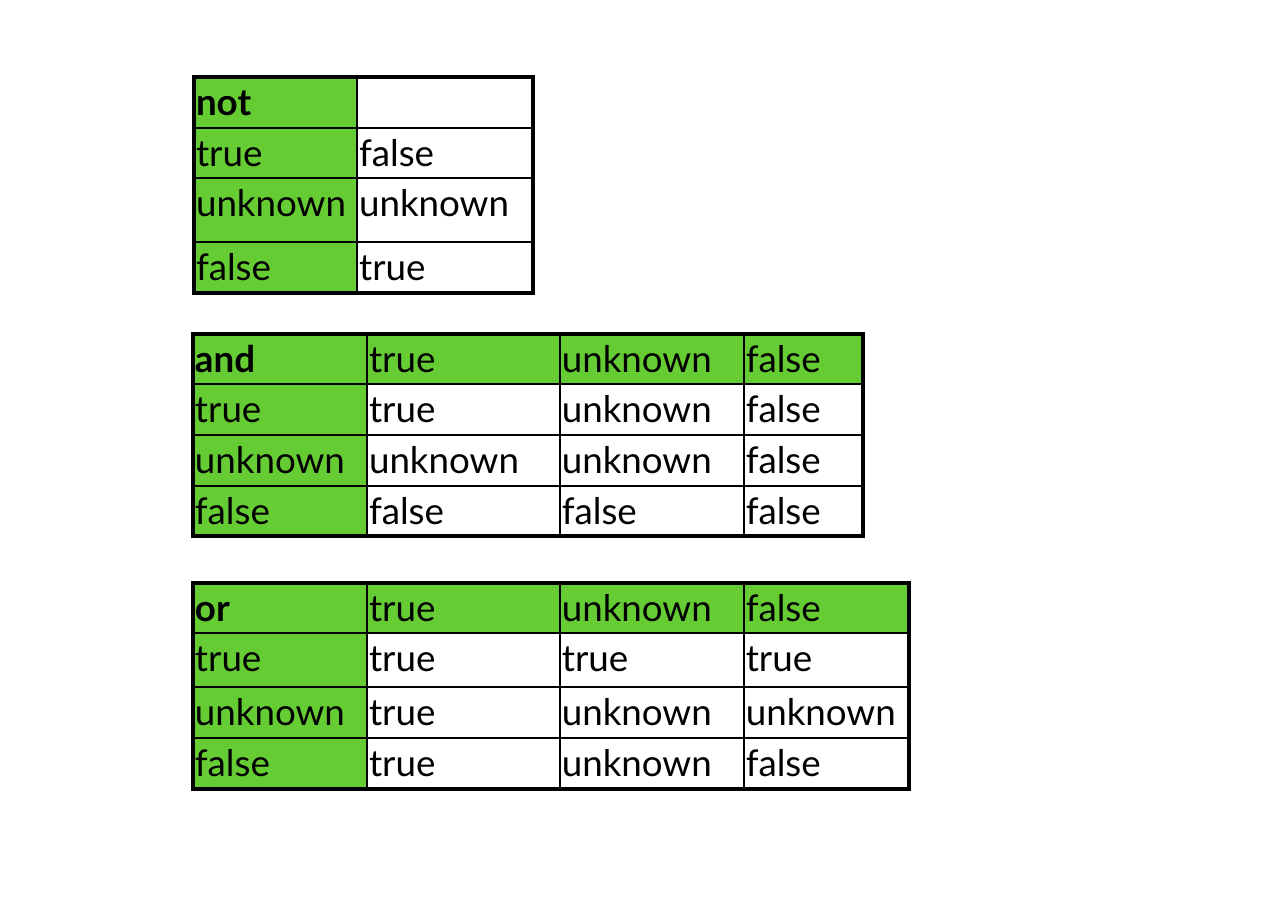
from dataclasses import dataclass

from lxml.etree import SubElement as Sub
from pptx import Presentation as Deck
from pptx.dml.color import RGBColor as Color
from pptx.oxml.ns import qn
from pptx.slide import Slide
from pptx.table import _Cell as Cell
from pptx.util import Inches, Pt

COLORS = {"head": "66CC33", "ink": "000000"}
THIN, THICK = Pt(1.5), Pt(3)
INSETS = {
    "margin_left": Inches(0.02),
    "margin_top": Inches(0.02),
    "margin_right": 0,
    "margin_bottom": 0,
}
FONT = {"name": "Lato", "size": Pt(24)}
PLAIN = {"first_row": False, "horz_banding": False}


@dataclass
class Truth:
    left: float
    top: float
    cols: list[float]
    rows: list[float]
    words: list[list[str]]


TABLES = [
    Truth(1.76, 0.7, [1.48, 1.6], [0.46, 0.46, 0.58, 0.46], [
        ["not", ""],
        ["true", "false"],
        ["unknown", "unknown"],
        ["false", "true"],
    ]),
    Truth(1.75, 3.03, [1.58, 1.75, 1.67, 1.08], [0.46] * 4, [
        ["and", "true", "unknown", "false"],
        ["true", "true", "unknown", "false"],
        ["unknown", "unknown", "unknown", "false"],
        ["false", "false", "false", "false"],
    ]),
    Truth(1.75, 5.29, [1.58, 1.75, 1.67, 1.5], [0.46, 0.49, 0.46, 0.46], [
        ["or", "true", "unknown", "false"],
        ["true", "true", "true", "true"],
        ["unknown", "true", "unknown", "unknown"],
        ["false", "true", "unknown", "false"],
    ]),
]


def apply(target: object, values: dict) -> None:
    for name, value in values.items():
        setattr(target, name, value)


def set_edges(cell: Cell, outer: dict[str, bool]) -> None:
    """Draw thick lines on the outer sides of the table, thin ones inside."""
    props = cell._tc.get_or_add_tcPr()
    for side, thick in outer.items():
        width = THICK if thick else THIN
        line = Sub(props, qn(f"a:ln{side}"), w=str(int(width)))
        fill = Sub(line, qn("a:solidFill"))
        Sub(fill, qn("a:srgbClr"), val=COLORS["ink"])


def set_text(cell: Cell, text: str, bold: bool) -> None:
    apply(cell, INSETS)
    if not text:
        return
    run = cell.text_frame.paragraphs[0].add_run()
    run.text = text
    apply(run.font, FONT | {"bold": bold})
    run.font.color.rgb = Color.from_string(COLORS["ink"])


def set_fill(cell: Cell, head: bool) -> None:
    if head:
        cell.fill.solid()
        cell.fill.fore_color.rgb = Color.from_string(COLORS["head"])
    else:
        cell.fill.background()


def draw_table(slide: Slide, truth: Truth) -> None:
    high, wide = len(truth.rows), len(truth.cols)
    box = [truth.left, truth.top, sum(truth.cols), sum(truth.rows)]
    frame = slide.shapes.add_table(high, wide, *map(Inches, box))
    table = frame.table
    apply(table, PLAIN)
    for col, width in zip(table.columns, truth.cols):
        col.width = Inches(width)
    for row, height in zip(table.rows, truth.rows):
        row.height = Inches(height)
    for r, line in enumerate(truth.words):
        for c, text in enumerate(line):
            cell = table.cell(r, c)
            set_text(cell, text, bold=r == c == 0)
            set_edges(cell, {
                "L": c == 0,
                "R": c == wide - 1,
                "T": r == 0,
                "B": r == high - 1,
            })
            # Only the two-operand tables have a header row.
            set_fill(cell, c == 0 or (r == 0 and wide > 2))


def main() -> None:
    deck = Deck()
    apply(deck, {"slide_width": Inches(11.69), "slide_height": Inches(8.26)})
    slide = deck.slides.add_slide(deck.slide_layouts[6])
    for truth in TABLES:
        draw_table(slide, truth)
    deck.save("out.pptx")


if __name__ == "__main__":
    main()
